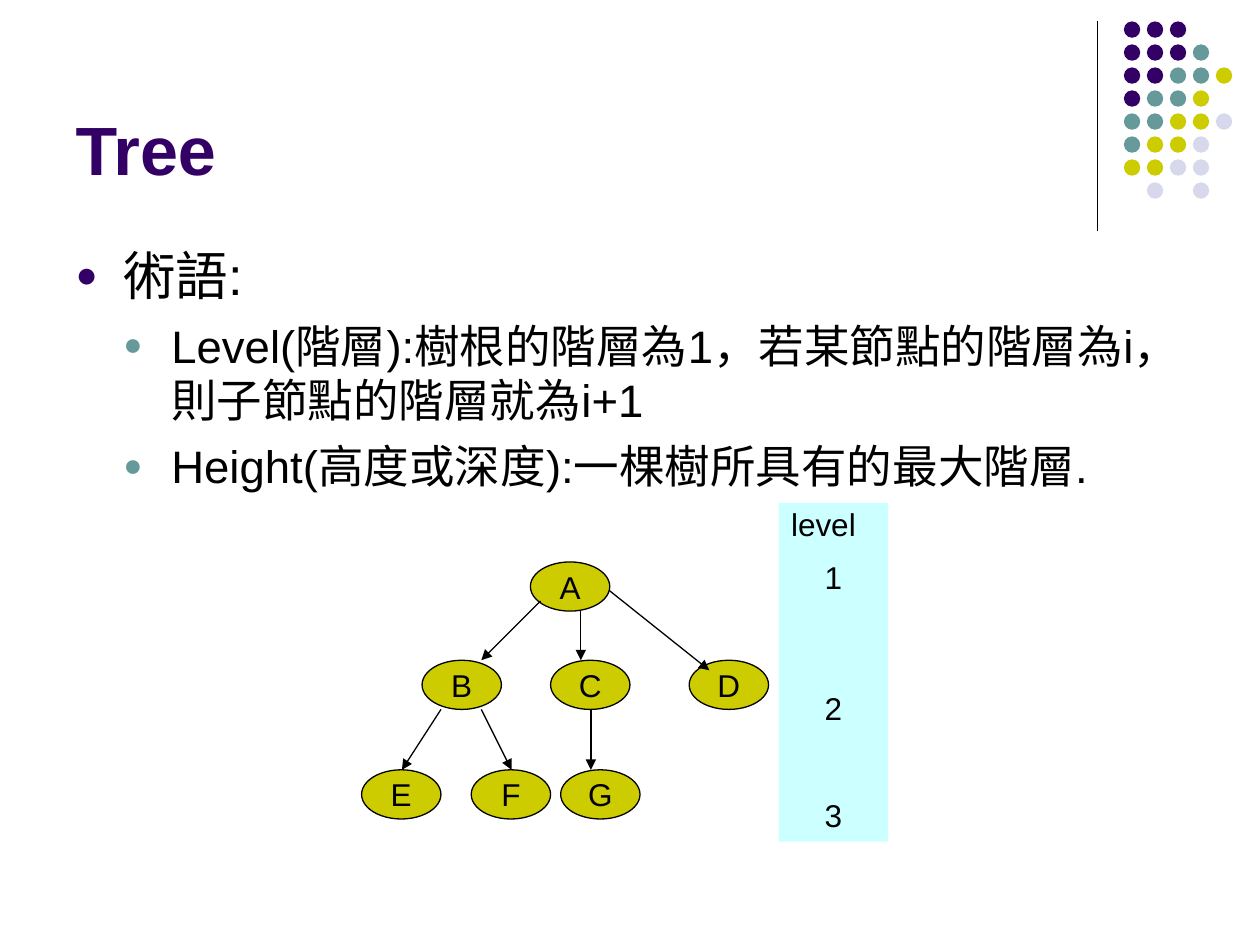
import pptx
import pptx.util
import pptx.dml.color
import pptx.enum.shapes
import pptx.enum.text
import pptx.oxml.ns
from dataclasses import dataclass
from lxml import etree
from pptx.util import Inches

ALIGN = pptx.enum.text.PP_ALIGN
ANCHOR = pptx.enum.text.MSO_ANCHOR
SHAPE = pptx.enum.shapes.MSO_SHAPE


@dataclass(frozen=True)
class Theme:
    font: str = "Arial"
    ink: str = "000000"
    purple: str = "330066"
    teal: str = "669999"
    olive: str = "CCCC00"
    lavender: str = "D8D8EC"
    cyan: str = "CCFFFF"
    title_size: int = 39
    term_size: int = 30
    detail_size: int = 26
    label_size: int = 18
    line_width: float = 0.75


THEME = Theme()

# Corner ornament: one letter per dot, one string per row
DOT_ROWS = ["PPP", "PPPT", "PPTTO", "PTTO", "TTOOL", "TOOL", "OOLL", " L L"]
DOT_COLORS = {"P": THEME.purple, "T": THEME.teal, "O": THEME.olive, "L": THEME.lavender}
DOT_SIZE, DOT_PITCH = 0.13, 0.73 / 4
DOT_LEFT, DOT_TOP = 8.92, 0.17

# Tree: left edge of each node, by level
NODE_WIDTH, NODE_HEIGHT = 0.63, 0.39
TREE_LEVELS = [
    (4.46, {"A": 4.21}),
    (5.24, {"B": 3.35, "C": 4.37, "D": 5.47}),
    (6.11, {"E": 2.87, "F": 3.74, "G": 4.45}),
]
# Parent, child, and where the arrow leaves and enters within each node
BRANCHES = [
    ("A", "B", (0.08, 0.31), (0.47, 0)),
    ("A", "C", (0.4, NODE_HEIGHT), (0.24, 0)),
    ("A", "D", (NODE_WIDTH, 0.23), (0.16, 0.08)),
    ("B", "E", (0.15, NODE_HEIGHT), (0.32, 0)),
    ("B", "F", (0.47, NODE_HEIGHT), (0.32, 0)),
    ("C", "G", (0.32, NODE_HEIGHT), (0.24, 0)),
]

# Text, level, size, bullet colour, space before
TERMS = [
    ("術語:", 0, THEME.term_size, THEME.purple, 0),
    ("Level(階層):樹根的階層為1，若某節點的階層為i，則子節點的階層就為i+1",
     1, THEME.detail_size, THEME.teal, 6.5),
    ("Height(高度或深度):一棵樹所具有的最大階層.", 1, THEME.detail_size, THEME.teal, 6.5),
]

# Text, alignment, space before
LEVEL_LABELS = [
    ("level", ALIGN.LEFT, 0),
    ("1", ALIGN.CENTER, 11.2),
    ("2", ALIGN.CENTER, 55),
    ("3", ALIGN.CENTER, 42),
]


def rgb(value):
    return pptx.dml.color.RGBColor.from_string(value)


def write_text(paragraph, text, *, size=THEME.label_size, color=THEME.ink, bold=False,
               align=ALIGN.LEFT, before=0, spacing=1.0):
    paragraph.alignment = align
    paragraph.space_before = pptx.util.Pt(before)
    paragraph.line_spacing = spacing
    run = paragraph.add_run()
    run.text = text
    run.font.name = THEME.font
    run.font.size = pptx.util.Pt(size)
    run.font.bold = bold
    run.font.color.rgb = rgb(color)


def paragraph_at(frame, index):
    return frame.add_paragraph() if index else frame.paragraphs[0]


def add_bullet(paragraph, level, color):
    paragraph.level = level
    properties = paragraph._p.get_or_add_pPr()
    properties.set("marL", str(Inches(0.38 * (level + 1))))
    properties.set("indent", str(Inches(-0.38)))
    qn = pptx.oxml.ns.qn
    bullet_color = etree.SubElement(properties, qn("a:buClr"))
    etree.SubElement(bullet_color, qn("a:srgbClr"), val=color)
    etree.SubElement(properties, qn("a:buSzPct"), val="70000")
    etree.SubElement(properties, qn("a:buFont"), typeface=THEME.font)
    etree.SubElement(properties, qn("a:buChar"), char="●")


def place(placeholder, left, top, width, height, anchor):
    placeholder.left, placeholder.top = Inches(left), Inches(top)
    placeholder.width, placeholder.height = Inches(width), Inches(height)
    frame = placeholder.text_frame
    frame.auto_size = pptx.enum.text.MSO_AUTO_SIZE.NONE
    frame.word_wrap = True
    frame.vertical_anchor = anchor
    return frame


def add_filled(slide, kind, left, top, width, height, fill, outlined=False):
    shape = slide.shapes.add_shape(kind, Inches(left), Inches(top), Inches(width), Inches(height))
    shape.shadow.inherit = False
    shape.fill.solid()
    shape.fill.fore_color.rgb = rgb(fill)
    if outlined:
        shape.line.color.rgb = rgb(THEME.ink)
        shape.line.width = pptx.util.Pt(THEME.line_width)
    else:
        shape.line.fill.background()
    return shape


def add_line(slide, start, end, arrow=False):
    connector = slide.shapes.add_connector(
        pptx.enum.shapes.MSO_CONNECTOR.STRAIGHT, *map(Inches, (*start, *end)))
    connector.line.color.rgb = rgb(THEME.ink)
    connector.line.width = pptx.util.Pt(THEME.line_width)
    qn = pptx.oxml.ns.qn
    if arrow:
        etree.SubElement(connector.line._get_or_add_ln(), qn("a:tailEnd"), type="triangle")
    etree.SubElement(connector._element.spPr, qn("a:effectLst"))


def add_ornament(slide):
    add_line(slide, (8.71, 0.17), (8.71, 1.83))
    for row, dots in enumerate(DOT_ROWS):
        for column, dot in enumerate(dots):
            if dot in DOT_COLORS:
                add_filled(slide, SHAPE.OVAL, DOT_LEFT + column * DOT_PITCH,
                           DOT_TOP + row * DOT_PITCH, DOT_SIZE, DOT_SIZE, DOT_COLORS[dot])


def add_node(slide, label, left, top):
    node = add_filled(slide, SHAPE.OVAL, left, top, NODE_WIDTH, NODE_HEIGHT, THEME.olive, True)
    node.text_frame.word_wrap = False
    node.text_frame.vertical_anchor = ANCHOR.MIDDLE
    write_text(node.text_frame.paragraphs[0], label, align=ALIGN.CENTER)


def add_tree(slide):
    corners = {label: (left, top) for top, nodes in TREE_LEVELS for label, left in nodes.items()}
    for label, (left, top) in corners.items():
        add_node(slide, label, left, top)
    for parent, child, leave, enter in BRANCHES:
        start = [corner + offset for corner, offset in zip(corners[parent], leave)]
        end = [corner + offset for corner, offset in zip(corners[child], enter)]
        add_line(slide, start, end, arrow=True)


def add_level_panel(slide):
    frame = add_filled(slide, SHAPE.RECTANGLE, 6.18, 3.99, 0.87, 2.69, THEME.cyan).text_frame
    frame.word_wrap = True
    frame.vertical_anchor = ANCHOR.TOP
    for index, (label, align, before) in enumerate(LEVEL_LABELS):
        write_text(paragraph_at(frame, index), label, align=align, before=before, spacing=0.9)


def main():
    deck = pptx.Presentation()
    deck.slide_width, deck.slide_height = Inches(10), Inches(7.5)
    slide = deck.slides.add_slide(deck.slide_layouts[1])

    # Title and terms
    title = place(slide.shapes.title, 0.5, 0.13, 8.25, 1.42, ANCHOR.BOTTOM)
    write_text(title.paragraphs[0], "Tree", size=THEME.title_size, color=THEME.purple, bold=True)
    terms = place(slide.placeholders[1], 0.5, 1.88, 9, 4.82, ANCHOR.TOP)
    for index, (text, level, size, bullet_color, before) in enumerate(TERMS):
        paragraph = paragraph_at(terms, index)
        add_bullet(paragraph, level, bullet_color)
        write_text(paragraph, text, size=size, before=before)

    # Decoration and diagram
    add_ornament(slide)
    add_tree(slide)
    add_level_panel(slide)
    deck.save("out.pptx")


if __name__ == "__main__":
    main()
